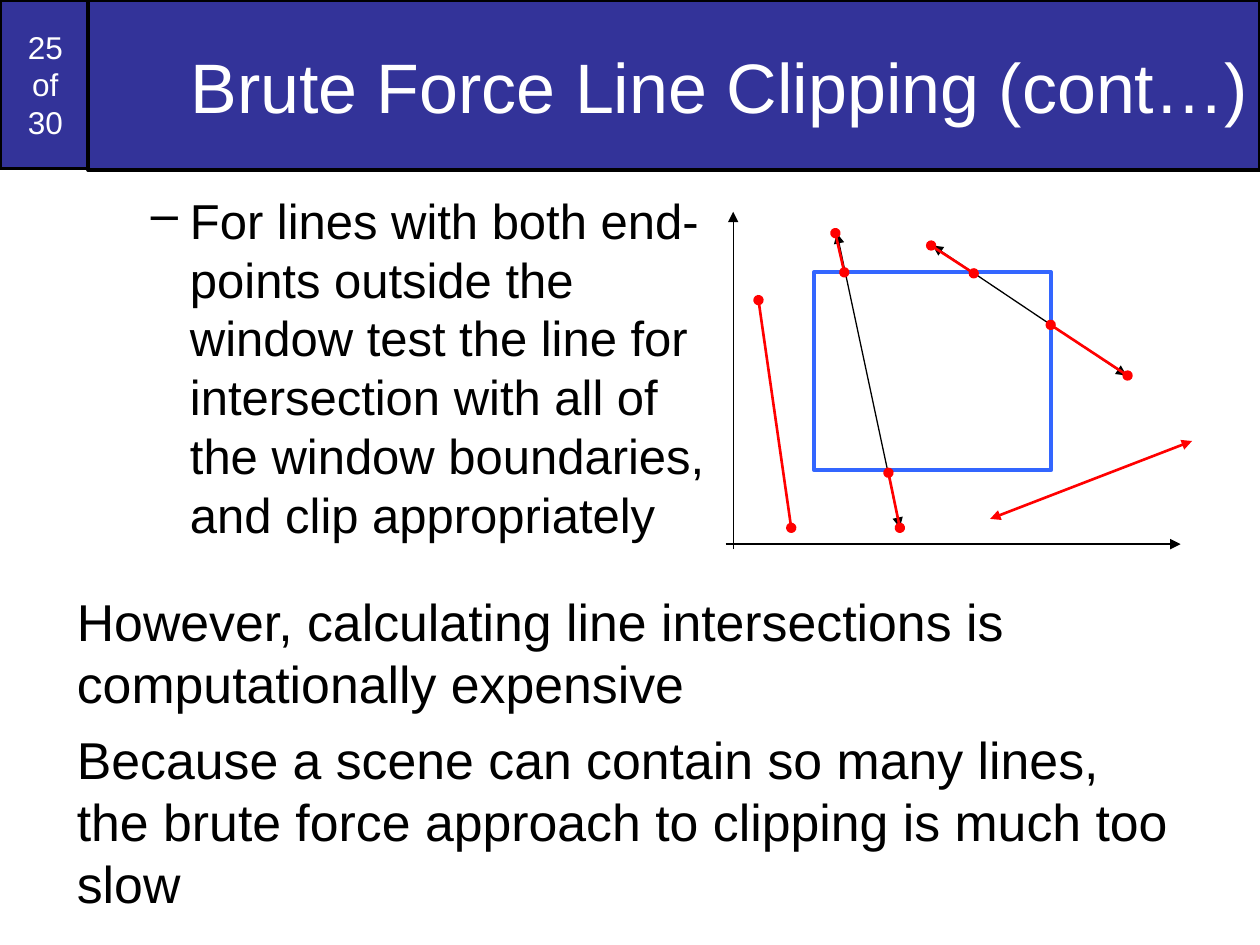
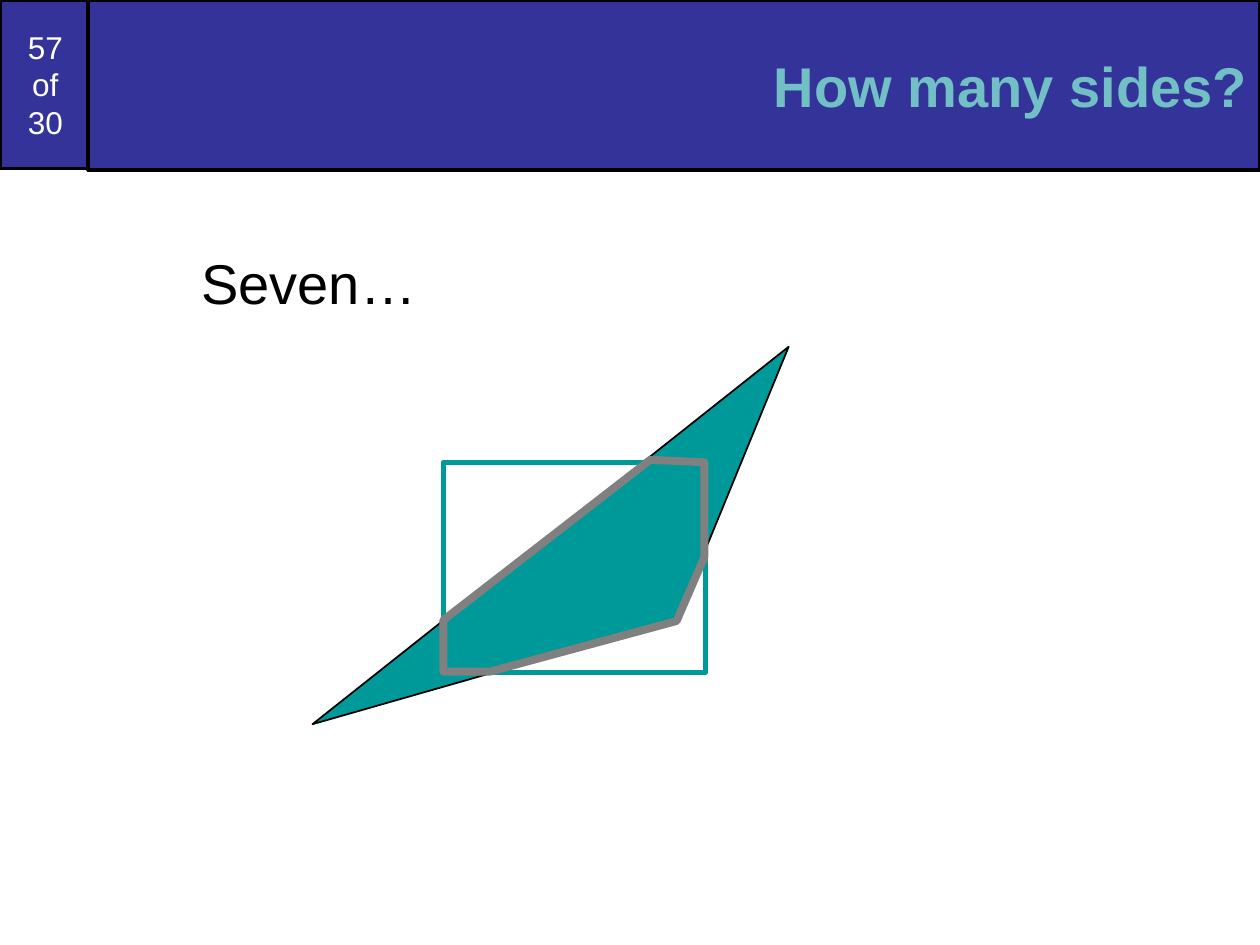
from collections import namedtuple

from lxml import etree
from pptx import Presentation
from pptx.dml.color import RGBColor
from pptx.enum.shapes import MSO_CONNECTOR, MSO_SHAPE
from pptx.enum.text import MSO_ANCHOR, PP_ALIGN
from pptx.oxml.ns import qn
from pptx.util import Cm, Pt

STRAIGHT = MSO_CONNECTOR.STRAIGHT
RECTANGLE = MSO_SHAPE.RECTANGLE
MIDDLE, TOP = MSO_ANCHOR.MIDDLE, MSO_ANCHOR.TOP
LEFT, CENTER, RIGHT = PP_ALIGN.LEFT, PP_ALIGN.CENTER, PP_ALIGN.RIGHT

FONT = "Arial"
COLORS = {
    "band": "333399",
    "black": "000000",
    "white": "FFFFFF",
    "accent": "72BFC5",
    "window": "3366FF",
    "outside": "FF0000",
    "teal": "009999",
    "clipped": "808080",
}

Box = namedtuple("Box", "left top width height")
NUMBER_BOX = Box(0, 0, 1.83, 3.4)
TITLE_BOX = Box(1.78, 0, 23.62, 3.43)


def rgb(name):
    """Return the named colour."""
    return RGBColor.from_string(COLORS[name])


def style_shape(shape, fill, line, weight):
    """Set the fill and outline of a shape and drop its shadow."""
    shape.shadow.inherit = False
    if fill:
        shape.fill.solid()
        shape.fill.fore_color.rgb = rgb(fill)
    else:
        shape.fill.background()
    shape.line.color.rgb = rgb(line)
    shape.line.width = Pt(weight)


def add_rectangle(shapes, box, fill, line, weight):
    """Add a rectangle measured in centimetres."""
    shape = shapes.add_shape(RECTANGLE, *map(Cm, box))
    style_shape(shape, fill, line, weight)
    return shape


def add_polygon(shapes, box, points, close, fill, line, weight):
    """Add an outline through points given relative to the box."""
    corners = [(Cm(box.left + x), Cm(box.top + y)) for x, y in points]
    builder = shapes.build_freeform(*corners[0])
    builder.add_line_segments(corners[1:], close=close)
    shape = builder.convert_to_shape()
    style_shape(shape, fill, line, weight)
    etree.SubElement(shape.line._get_or_add_ln(), qn("a:round"))


def add_segment(shapes, box, start, end, color, weight, head, tail):
    """Add a line with end marks between points relative to the box."""
    ends = [Cm(value) for x, y in (start, end) for value in (box.left + x, box.top + y)]
    segment = shapes.add_connector(STRAIGHT, *ends)
    segment.line.color.rgb = rgb(color)
    segment.line.width = Pt(weight)
    outline = segment.line._get_or_add_ln()
    for tag, mark in (("a:headEnd", head), ("a:tailEnd", tail)):
        if mark:
            etree.SubElement(outline, qn(tag), type=mark)
    etree.SubElement(segment._element.spPr, qn("a:effectLst"))


def write_text(shape, texts, size, color="black", align=LEFT, anchor=TOP, bold=False, gap=0):
    """Fill a shape with paragraphs in one style."""
    frame = shape.text_frame
    frame.word_wrap = True
    frame.vertical_anchor = anchor
    for index, text in enumerate(texts):
        para = frame.add_paragraph() if index else frame.paragraphs[0]
        para.text = text
        para.alignment = align
        para.space_before = Pt(gap if index else 0)
        para.font.name = FONT
        para.font.size = Pt(size)
        para.font.bold = bold
        para.font.color.rgb = rgb(color)


def add_text(page, box, texts, size, gap=0):
    """Add a text box and return it."""
    shape = page.shapes.add_textbox(*map(Cm, box))
    write_text(shape, texts, size, gap=gap)
    return shape


def add_dash(para, margin, hang):
    """Give a paragraph a hanging dash."""
    properties = para._p.get_or_add_pPr()
    properties.set("marL", str(Cm(margin)))
    properties.set("indent", str(-Cm(hang)))
    bullet = etree.Element(qn("a:buChar"), char="–")
    properties.insert_element_before(bullet, "a:tabLst", "a:defRPr", "a:extLst")


def add_page(deck, number, title, size, color="white", bold=False):
    """Add a page with its number cell and title band."""
    page = deck.slides.add_slide(deck.slide_layouts[6])
    cell = add_rectangle(page.shapes, NUMBER_BOX, "band", "black", 2)
    write_text(cell, [f"{number}\vof\v30"], 18, "white", CENTER, MIDDLE)
    band = add_rectangle(page.shapes, TITLE_BOX, "band", "black", 2)
    write_text(band, [title], size, color, RIGHT, MIDDLE, bold)
    return page


def add_line_diagram(page, box):
    """Draw the axes, the clip window and the lines tested against it."""
    shapes = page.shapes.add_group_shape().shapes
    axes = [((0.03, 6.7), (9.2, 6.7)), ((0.18, 6.8), (0.18, 0))]
    crossing = [((4.2, 0.68), (8.11, 3.3)), ((2.27, 0.43), (3.54, 6.37))]
    missing = [((9.43, 4.62), (5.36, 6.19))]
    removed = [
        ((0.69, 1.78), (1.35, 6.37)),
        ((2.24, 0.43), (2.42, 1.22)),
        ((3.31, 5.26), (3.54, 6.37)),
        ((6.58, 2.28), (8.13, 3.3)),
        ((4.17, 0.68), (5.03, 1.24)),
    ]
    window = Box(box.left + 1.81, box.top + 1.22, 4.78, 3.99)
    add_rectangle(shapes, window, None, "window", 2.25)
    for segments, color, weight, head, tail in (
        (axes, "black", 0.75, None, "triangle"),
        (crossing, "black", 0.75, "triangle", "triangle"),
        (missing, "outside", 1.5, "triangle", "triangle"),
        (removed, "outside", 1.5, "oval", "oval"),
    ):
        for start, end in segments:
            add_segment(shapes, box, start, end, color, weight, head, tail)


def add_clipped_triangle(page, box):
    """Draw a triangle over the clip window and outline the part inside."""
    triangle = [(9.6, 0), (0, 7.61), (7.34, 5.51)]
    inside = [
        (6.81, 2.28), (2.64, 5.51), (2.64, 6.55), (3.58, 6.55),
        (7.34, 5.53), (7.9, 4.24), (7.9, 2.33), (6.81, 2.28),
    ]
    window = Box(box.left + 2.64, box.top + 2.33, 5.28, 4.24)
    add_rectangle(page.shapes, window, "white", "teal", 3)
    add_polygon(page.shapes, box, triangle, True, "teal", "black", 1)
    add_polygon(page.shapes, box, inside, False, None, "clipped", 4.5)


def build_brute_force(deck):
    """Build the page on brute force line clipping."""
    page = add_page(deck, 25, "Brute Force Line Clipping (cont…)", 40)
    rule = add_text(page, Box(1.27, 3.71, 13.54, 7.59), [
        "For lines with both end-points outside the window test the line for "
        "intersection with all of the window boundaries, and clip appropriately",
    ], 28)
    add_dash(rule.text_frame.paragraphs[0], 2.31, 0.79)
    add_text(page, Box(1.3, 11.76, 22.86, 7.29), [
        "However, calculating line intersections is computationally expensive",
        "Because a scene can contain so many lines, the brute force approach "
        "to clipping is much too slow",
    ], 29.6, gap=8)
    add_line_diagram(page, Box(14.6, 4.27, 9.43, 6.8))


def build_sides(deck):
    """Build the page that counts the sides of a clipped triangle."""
    page = add_page(deck, 57, "How many sides?", 32, "accent", True)
    add_text(page, Box(3.81, 4.88, 21.59, 2.54), ["Seven…"], 32)
    add_clipped_triangle(page, Box(6.3, 6.99, 9.6, 7.61))


def main():
    """Build and save the deck."""
    deck = Presentation()
    deck.slide_width, deck.slide_height = Cm(25.4), Cm(19.05)
    build_brute_force(deck)
    build_sides(deck)
    deck.save("out.pptx")


if __name__ == "__main__":
    main()
